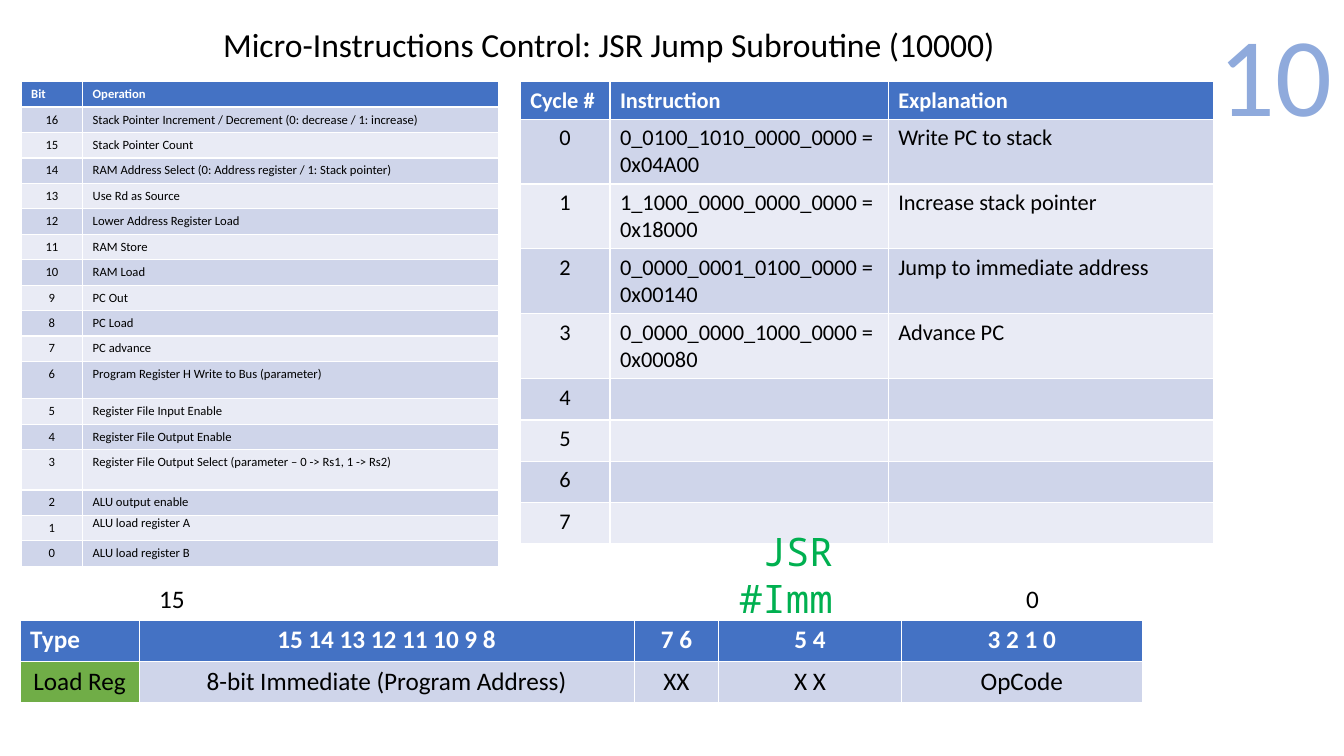
"""Build the JSR micro-instruction slide with its three reference tables."""
from pptx import Presentation
from pptx.dml.color import RGBColor
from pptx.enum import text
from pptx.util import Inches, Pt

HEADER_BLUE = RGBColor(0x44, 0x72, 0xC4)
BAND_DARK = RGBColor(0xCF, 0xD5, 0xEA)
BAND_LIGHT = RGBColor(0xE9, 0xEB, 0xF5)
TYPE_GREEN = RGBColor(0x70, 0xAD, 0x47)
CODE_GREEN = RGBColor(0x00, 0xB0, 0x50)
NUMBER_BLUE = RGBColor(0x8F, 0xAA, 0xDC)
WHITE = RGBColor(0xFF, 0xFF, 0xFF)
BLACK = RGBColor(0, 0, 0)
LEFT, CENTER, RIGHT = text.PP_ALIGN.LEFT, text.PP_ALIGN.CENTER, text.PP_ALIGN.RIGHT

TITLE = "Micro-Instructions Control: JSR Jump Subroutine (10000)"
OPERATIONS = [
    "Stack Pointer Increment / Decrement (0: decrease / 1: increase)",
    "Stack Pointer Count",
    "RAM Address Select (0: Address register / 1: Stack pointer)",
    "Use Rd as Source",
    "Lower Address Register Load",
    "RAM Store",
    "RAM Load",
    "PC Out",
    "PC Load",
    "PC advance",
    "Program Register H Write to Bus (parameter)",
    "Register File Input Enable",
    "Register File Output Enable",
    "Register File Output Select (parameter – 0 -> Rs1, 1 -> Rs2)",
    "ALU output enable",
    "ALU load register A",
    "ALU load register B",
]
STEPS = [
    ("0_0100_1010_0000_0000 = 0x04A00", "Write PC to stack"),
    ("1_1000_0000_0000_0000 = 0x18000", "Increase stack pointer"),
    ("0_0000_0001_0100_0000 = 0x00140", "Jump to immediate address"),
    ("0_0000_0000_1000_0000 = 0x00080", "Advance PC"),
]
CYCLE_COUNT = 8
FORMAT_ROWS = [
    ("Type", "15 14 13 12 11 10 9 8", "7 6", "5 4", "3 2 1 0"),
    ("Load Reg", "8-bit Immediate (Program Address)", "XX", "X X", "OpCode"),
]
LABELS = [
    ("15", 1.48, 5.74, 0.6, 0.4, 18, "Calibri", BLACK, LEFT, True),
    ("0", 10.08, 5.74, 0.6, 0.4, 18, "Calibri", BLACK, LEFT, True),
    ("10", 11.99, 0, 1.34, 1.45, 80, "Calibri", NUMBER_BLUE, LEFT, False),
    ("JSR #Imm", 7.2, 5.18, 1.16, 1.04, 28, "Noto Sans Mono", CODE_GREEN, RIGHT, True),
]


def format_paragraph(paragraph, size, color, align, name="Calibri", bold=False):
    """Set the alignment and font of one paragraph."""
    paragraph.alignment = align
    font = paragraph.font
    font.size, font.name, font.bold = Pt(size), name, bold
    font.color.rgb = color


def add_grid(slide, rows, left, top, widths, heights, size, centered):
    """Add a banded table; centered(row, column) picks the alignment."""
    frame = slide.shapes.add_table(len(rows), len(widths), Inches(left), Inches(top),
                                   Inches(sum(widths)), Inches(sum(heights)))
    table = frame.table
    for column, width in zip(table.columns, widths):
        column.width = Inches(width)
    for r, (values, height) in enumerate(zip(rows, heights)):
        table.rows[r].height = Inches(height)
        fill = HEADER_BLUE if r == 0 else BAND_DARK if r % 2 else BAND_LIGHT
        for c, value in enumerate(values):
            cell = table.cell(r, c)
            cell.fill.solid()
            cell.fill.fore_color.rgb = fill
            cell.text_frame.text = value
            format_paragraph(cell.text_frame.paragraphs[0], size,
                             BLACK if r else WHITE,
                             CENTER if centered(r, c) else LEFT, bold=r == 0)
    return table


def add_label(slide, words, left, top, width, height, size, name, color, align, wrap):
    """Add one free-standing text box."""
    box = slide.shapes.add_textbox(*map(Inches, (left, top, width, height)))
    box.text_frame.word_wrap = wrap
    box.text_frame.text = words
    format_paragraph(box.text_frame.paragraphs[0], size, color, align, name)


def main():
    """Lay out the slide and save it."""
    presentation = Presentation()
    presentation.slide_width, presentation.slide_height = Inches(13.33), Inches(7.5)
    slide = presentation.slides.add_slide(presentation.slide_layouts[5])

    title = slide.shapes.title
    title.left, title.top, title.width, title.height = map(Inches, (1.04, 0.24, 10, 0.45))
    title.text_frame.text = TITLE
    title.text_frame.vertical_anchor = text.MSO_ANCHOR.MIDDLE
    heading = title.text_frame.paragraphs[0]
    format_paragraph(heading, 24, BLACK, CENTER)
    heading.line_spacing = 0.9

    def first_column_body(row, column):
        """Center the numbers below the header."""
        return row > 0 and column == 0

    top_bit = len(OPERATIONS) - 1
    bit_rows = [("Bit", "Operation")]
    bit_rows += [(str(top_bit - i), words) for i, words in enumerate(OPERATIONS)]
    tall_rows = {"6": 0.37, "3": 0.4}
    bit_heights = [tall_rows.get(bit, 0.25) for bit, _ in bit_rows]
    bits = add_grid(slide, bit_rows, 0.21, 0.81, (0.61, 4.13), bit_heights, 9,
                    first_column_body)
    bits.cell(top_bit, 1).margin_top = 0

    steps = STEPS + [("", "")] * (CYCLE_COUNT - len(STEPS))
    cycle_rows = [("Cycle #", "Instruction", "Explanation")]
    cycle_rows += [(str(i), *step) for i, step in enumerate(steps)]
    cycle_heights = [0.37] + [0.64 if code else 0.41 for code, _ in steps]
    add_grid(slide, cycle_rows, 5.16, 0.81, (0.89, 2.76, 3.23), cycle_heights, 16,
             first_column_body)

    word_format = add_grid(slide, FORMAT_ROWS, 0.2, 6.15, (1.18, 4.91, 0.84, 1.81, 2.39),
                           (0.41, 0.4), 18, lambda row, column: row + column > 0)
    word_format.cell(1, 0).fill.fore_color.rgb = TYPE_GREEN

    for label in LABELS:
        add_label(slide, *label)
    presentation.save("out.pptx")


if __name__ == "__main__":
    main()
